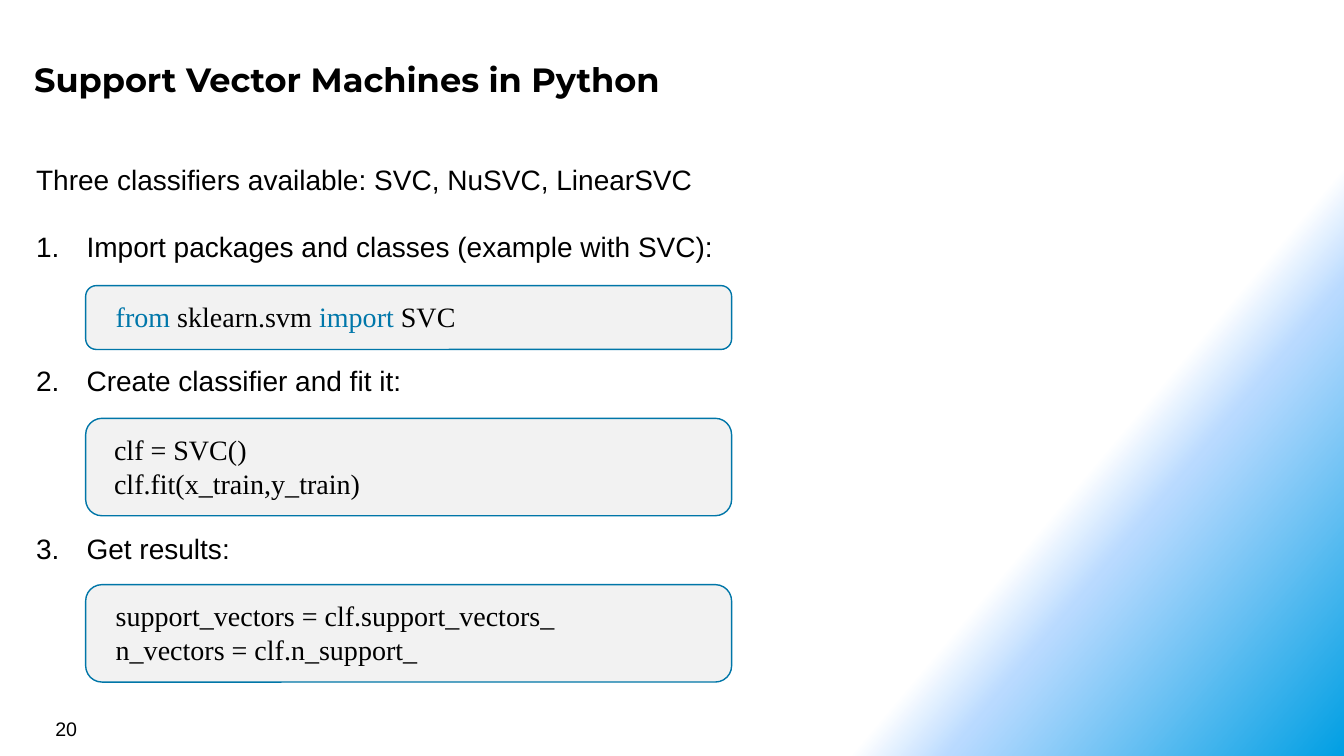
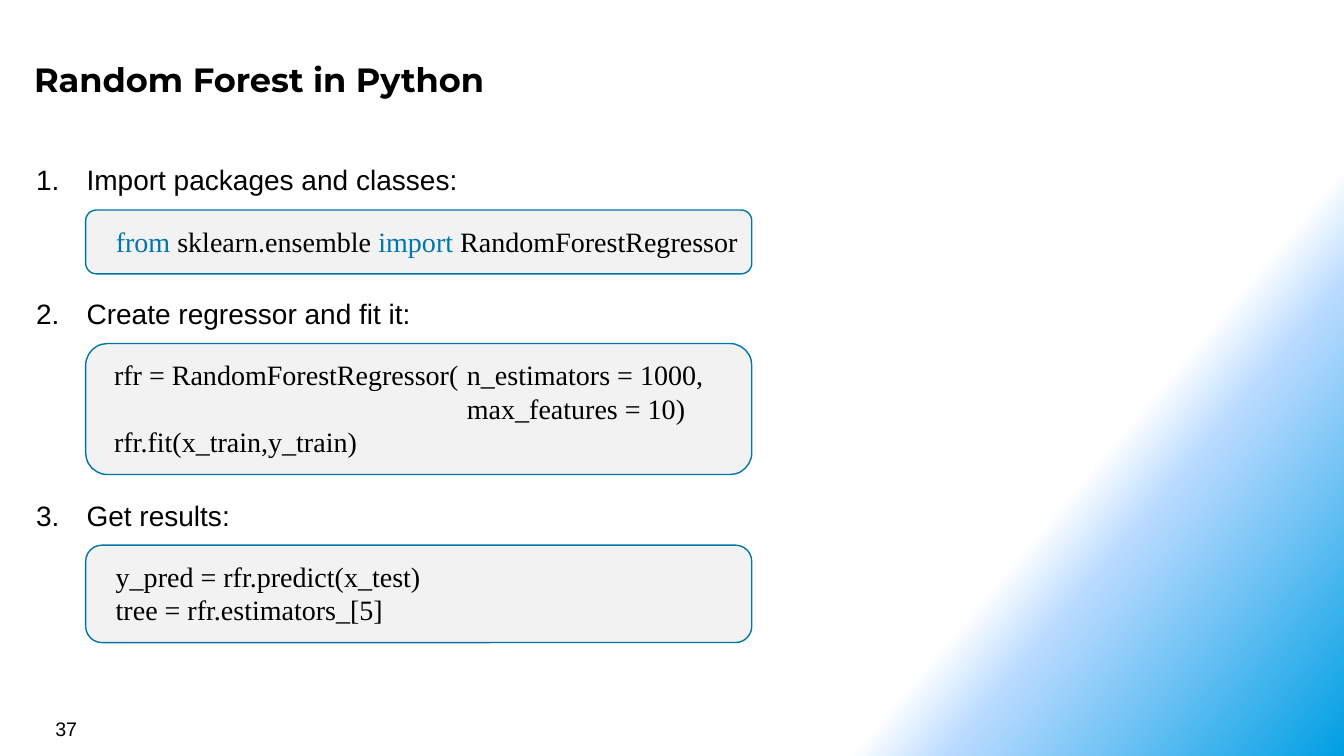
from dataclasses import dataclass

from lxml.etree import SubElement
from pptx import Presentation
from pptx.dml.color import RGBColor
from pptx.enum.shapes import MSO_SHAPE
from pptx.enum.text import MSO_ANCHOR, MSO_AUTO_SIZE, PP_ALIGN
from pptx.oxml.ns import qn
from pptx.util import Emu, Inches, Pt

# Colours and fonts
BLACK = RGBColor(0x00, 0x00, 0x00)
WHITE = RGBColor(0xFF, 0xFF, 0xFF)
GREY = RGBColor(0xF2, 0xF2, 0xF2)
EDGE = RGBColor(0x00, 0x76, 0xA8)
KEY = RGBColor(0x00, 0x77, 0xAA)
PALE = RGBColor(0xB9, 0xDA, 0xFF)
BLUE = RGBColor(0x00, 0x9F, 0xE3)
HEAD, SANS, CODE = "Montserrat", "Arial", "Times New Roman"

# Grid: 160 columns by 90 rows; a text line is four rows high
WIDE, HIGH = Inches(13.33), Inches(7.5)
COLS, ROWS = 160, 90
LINE = 4
PITCH = Pt(24)
INDENT = Inches(0.5)
TAB = Inches(3.5)


@dataclass(frozen=True)
class Area:
    col: float
    row: float
    cols: float
    rows: float


@dataclass(frozen=True)
class Run:
    text: str
    color: RGBColor = BLACK


@dataclass(frozen=True)
class Step:
    label: str
    gap: int  # free lines above the label
    row: float  # top of the code box
    code: tuple[tuple[Run, ...], ...]
    col: float = 12.6  # left of the code text
    cols: float = 73.7


@dataclass(frozen=True)
class Page:
    title: str
    number: int
    cols: float  # width of the code boxes
    steps: tuple[Step, ...]
    intro: str = ""


TITLE = Area(3.1, 6.1, 147.1, 6.6)
NUMBER = Area(5.4, 84.8, 37.3, 4)

PAGES = (
    Page(
        "Support Vector Machines in Python", 20, 76.9,
        (
            Step("Import packages and classes (example with SVC):", 1, 34,
                 ((Run("from", KEY), Run(" sklearn.svm "),
                   Run("import", KEY), Run(" SVC")),), cols=74.6),
            Step("Create classifier and fit it:", 3, 49.8,
                 ((Run("clf = SVC()"),),
                  (Run("clf.fit(x_train,y_train)"),)), col=12.4),
            Step("Get results:", 4, 69.6,
                 ((Run("support_vectors = clf.support_vectors_"),),
                  (Run("n_vectors = clf.n_support_"),))),
        ),
        "Three classifiers available: SVC, NuSVC, LinearSVC",
    ),
    Page(
        "Random Forest in Python", 37, 79.3,
        (
            Step("Import packages and classes:", 0, 25,
                 ((Run("from ", KEY), Run("sklearn.ensemble "),
                   Run("import ", KEY), Run("RandomForestRegressor")),),
                 cols=76.9),
            Step("Create regressor and fit it:", 3, 40.9,
                 ((Run("rfr = RandomForestRegressor(\tn_estimators = 1000,"),),
                  (Run("\tmax_features = 10)"),),
                  (Run("rfr.fit(x_train,y_train)"),)), col=12.4),
            Step("Get results:", 5, 64.9,
                 ((Run("y_pred = rfr.predict(x_test)"),),
                  (Run("tree = rfr.estimators_[5]"),))),
        ),
    ),
)


def spot(area: Area) -> tuple[Emu, ...]:
    """Turn a grid area into left, top, width and height."""
    return (Emu(int(WIDE * area.col / COLS)), Emu(int(HIGH * area.row / ROWS)),
            Emu(int(WIDE * area.cols / COLS)), Emu(int(HIGH * area.rows / ROWS)))


def move(shape, area: Area) -> None:
    shape.left, shape.top, shape.width, shape.height = spot(area)


def write(para, run: Run, font: str, size: int, bold: bool = False) -> None:
    part = para.add_run()
    part.text = run.text
    part.font.name, part.font.size, part.font.bold = font, Pt(size), bold
    part.font.color.rgb = run.color


def lines(frame, count: int) -> list:
    """Return that many paragraphs, set on the line pitch."""
    frame.word_wrap = True
    frame.auto_size = MSO_AUTO_SIZE.NONE
    paras = [frame.paragraphs[0]]
    paras += [frame.add_paragraph() for _ in range(count - 1)]
    for para in paras:
        para.line_spacing = PITCH
        para.space_before = para.space_after = Pt(0)
        para.alignment = PP_ALIGN.LEFT
    return paras


def mark(para, numbered: bool) -> None:
    """Number a list paragraph, or take its bullet away."""
    props = para._p.get_or_add_pPr()
    props.set("marL", str(INDENT if numbered else 0))
    props.set("indent", str(-INDENT if numbered else 0))
    if numbered:
        SubElement(props, qn("a:buFont"), typeface="+mj-lt")
        SubElement(props, qn("a:buAutoNum"), type="arabicPeriod")
    else:
        SubElement(props, qn("a:buNone"))


def theme(deck):
    """Set the shared background and title; return the layout."""
    fill = deck.slide_master.background.fill
    fill.gradient()
    fill.gradient_angle = 320
    stops = deck.slide_master.element.find(".//" + qn("a:gsLst"))
    stops.clear()
    for share, color, alpha in ((75, WHITE, 100), (80, PALE, 50), (100, BLUE, 100)):
        stop = SubElement(stops, qn("a:gs"), pos=str(share * 1000))
        tone = SubElement(stop, qn("a:srgbClr"), val=str(color))
        if alpha < 100:
            SubElement(tone, qn("a:alpha"), val=str(alpha * 1000))
    layout = deck.slide_layouts[1]
    title = layout.placeholders[0]
    move(title, TITLE)
    frame = title.text_frame
    frame.margin_left = frame.margin_right = Inches(0.08)
    frame.margin_top = frame.margin_bottom = Inches(0.08)
    frame.vertical_anchor = MSO_ANCHOR.TOP
    return layout


def steps(body, page: Page) -> None:
    """Fill the list, leaving room for the code boxes."""
    items = [(page.intro, 0, False)] if page.intro else []
    items += [(step.label, step.gap, True) for step in page.steps]
    count = sum(gap + 1 for _, gap, _ in items)
    move(body, Area(3.1, 18.7, 152.2, LINE * count + 1.2))
    for para, (text, gap, numbered) in zip(lines(body.text_frame, len(items)), items):
        para.space_before = PITCH * gap
        mark(para, numbered)
        write(para, Run(text), SANS, 20)


def code(slide, step: Step, cols: float) -> None:
    """Draw one code box and its text."""
    rows = LINE * len(step.code)
    box = slide.shapes.add_shape(
        MSO_SHAPE.ROUNDED_RECTANGLE, *spot(Area(10.2, step.row, cols, rows + 3.6)))
    box.shadow.inherit = False
    box.fill.solid()
    box.fill.fore_color.rgb = GREY
    box.line.color.rgb = EDGE
    box.line.width = Pt(1)
    text = slide.shapes.add_textbox(
        *spot(Area(step.col, step.row + 1.1, step.cols, rows + 1.2)))
    for para, runs in zip(lines(text.text_frame, len(step.code)), step.code):
        if any("\t" in run.text for run in runs):
            tabs = SubElement(para._p.get_or_add_pPr(), qn("a:tabLst"))
            SubElement(tabs, qn("a:tab"), pos=str(TAB), algn="l")
        for run in runs:
            write(para, run, CODE, 20)


def draw(deck, layout, page: Page) -> None:
    slide = deck.slides.add_slide(layout)
    # Title
    frame = slide.shapes.title.text_frame
    frame.auto_size = MSO_AUTO_SIZE.NONE
    para = frame.paragraphs[0]
    para.alignment = PP_ALIGN.LEFT
    write(para, Run(page.title), HEAD, 24, True)
    # Page number
    foot = slide.shapes.add_textbox(*spot(NUMBER)).text_frame
    foot.word_wrap = True
    foot.vertical_anchor = MSO_ANCHOR.MIDDLE
    write(foot.paragraphs[0], Run(str(page.number)), SANS, 14)
    # List and code
    steps(slide.placeholders[1], page)
    for step in page.steps:
        code(slide, step, page.cols)


def main() -> None:
    deck = Presentation()
    deck.slide_width, deck.slide_height = WIDE, HIGH
    layout = theme(deck)
    for page in PAGES:
        draw(deck, layout, page)
    deck.save("out.pptx")


if __name__ == "__main__":
    main()
